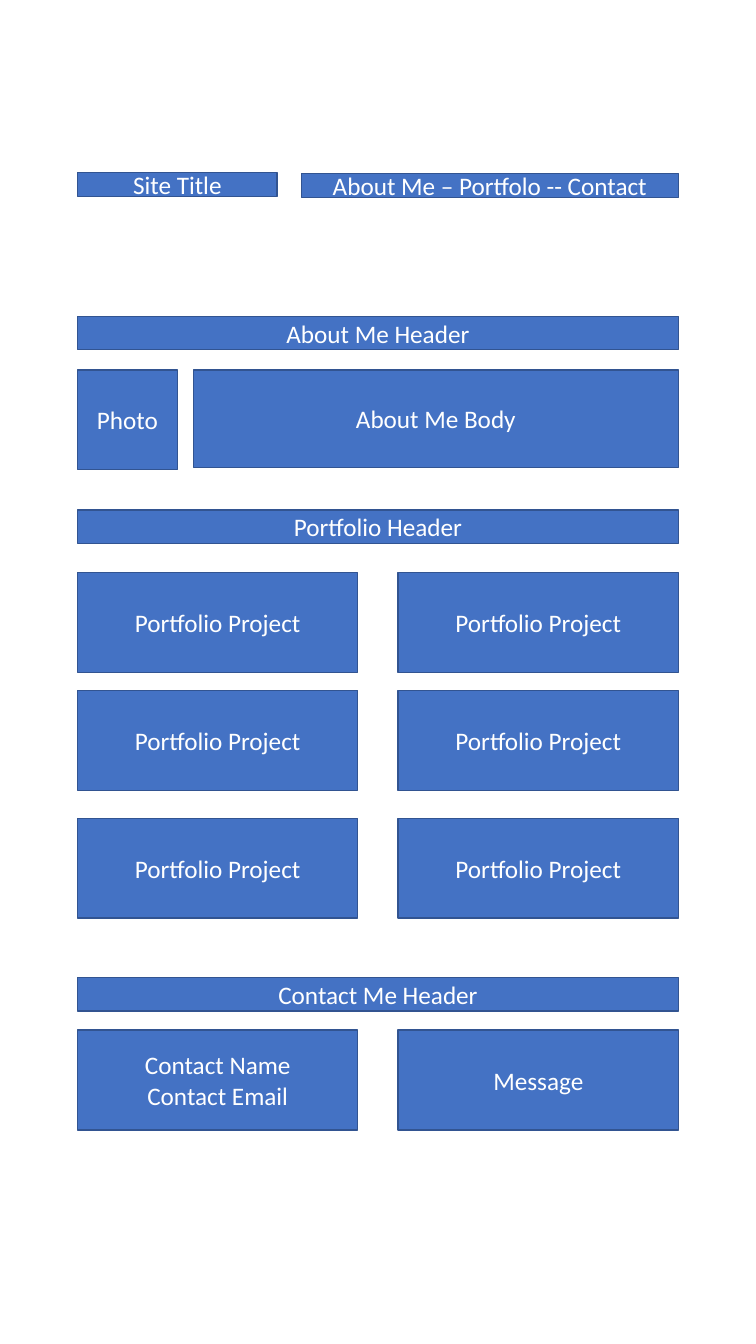
from dataclasses import dataclass

from pptx import Presentation
from pptx.dml.color import RGBColor as RGB
from pptx.enum.shapes import MSO_SHAPE as SHAPE
from pptx.enum.text import MSO_ANCHOR as ANCHOR, PP_ALIGN as ALIGN
from pptx.util import Pt


@dataclass(frozen=True)
class Theme:
    fill: RGB = RGB(0x44, 0x72, 0xC4)
    line: RGB = RGB(0x32, 0x54, 0x91)
    text: RGB = RGB(0xFF, 0xFF, 0xFF)
    font: str = "Calibri"
    size: int = 18


THEME = Theme()
FONT = {"name": THEME.font, "size": Pt(THEME.size)}

# Page measures, in points
LEFT, WIDTH = 55.4, 429.2
HEADER_H = 23.8
CARD_W, CARD_H = 200.2, 71.3


def add_block(s, text, x, y, w, h):
    """Labelled rectangle; each line of text is a paragraph."""
    sp = s.shapes.add_shape(SHAPE.RECTANGLE, Pt(x), Pt(y), Pt(w), Pt(h))
    sp.shadow.inherit = False
    sp.fill.solid()
    sp.fill.fore_color.rgb = THEME.fill
    sp.line.color.rgb = THEME.line
    sp.line.width = Pt(1)
    tf = sp.text_frame
    tf.word_wrap = True
    tf.vertical_anchor = ANCHOR.MIDDLE
    tf.text = text
    for p in tf.paragraphs:
        p.alignment = ALIGN.CENTER
        for r in p.runs:
            for key, value in FONT.items():
                setattr(r.font, key, value)
            r.font.color.rgb = THEME.text


def add_card_row(s, x, y, w, labels):
    """One card at each edge of the row."""
    for label, card_x in zip(labels, (x, x + w - CARD_W)):
        add_block(s, label, card_x, y, CARD_W, CARD_H)


def add_top_bar(s, x, y, w):
    title_w, nav_w, h = 142.6, 269.4, 17.3
    add_block(s, "Site Title", x, y, title_w, h)
    add_block(s, "About Me – Portfolo -- Contact", x + w - nav_w, y + 0.7, nav_w, h)


def add_about(s, x, y, w):
    body_w, body_h = 346.4, 69.8
    add_block(s, "About Me Header", x, y, w, HEADER_H)
    add_block(s, "Photo", x, y + 38.1, CARD_H, CARD_H)
    add_block(s, "About Me Body", x + w - body_w, y + 38.1, body_w, body_h)


def add_portfolio(s, x, y, w):
    add_block(s, "Portfolio Header", x, y, w, HEADER_H)
    for row_y in (44.7, 128.9, 220.3):
        add_card_row(s, x, y + row_y, w, ["Portfolio Project"] * 2)


def add_contact(s, x, y, w):
    add_block(s, "Contact Me Header", x, y, w, HEADER_H)
    add_card_row(s, x, y + 37.4, w, ["Contact Name\nContact Email", "Message"])


def main():
    prs = Presentation()
    prs.slide_width, prs.slide_height = Pt(540), Pt(960)
    s = prs.slides.add_slide(prs.slide_layouts[6])

    # Page sections, top to bottom
    sections = ((add_top_bar, 123.1), (add_about, 226.1),
                (add_portfolio, 364.3), (add_contact, 698.4))
    for add_section, y in sections:
        add_section(s, LEFT, y, WIDTH)

    prs.save("out.pptx")


if __name__ == "__main__":
    main()
